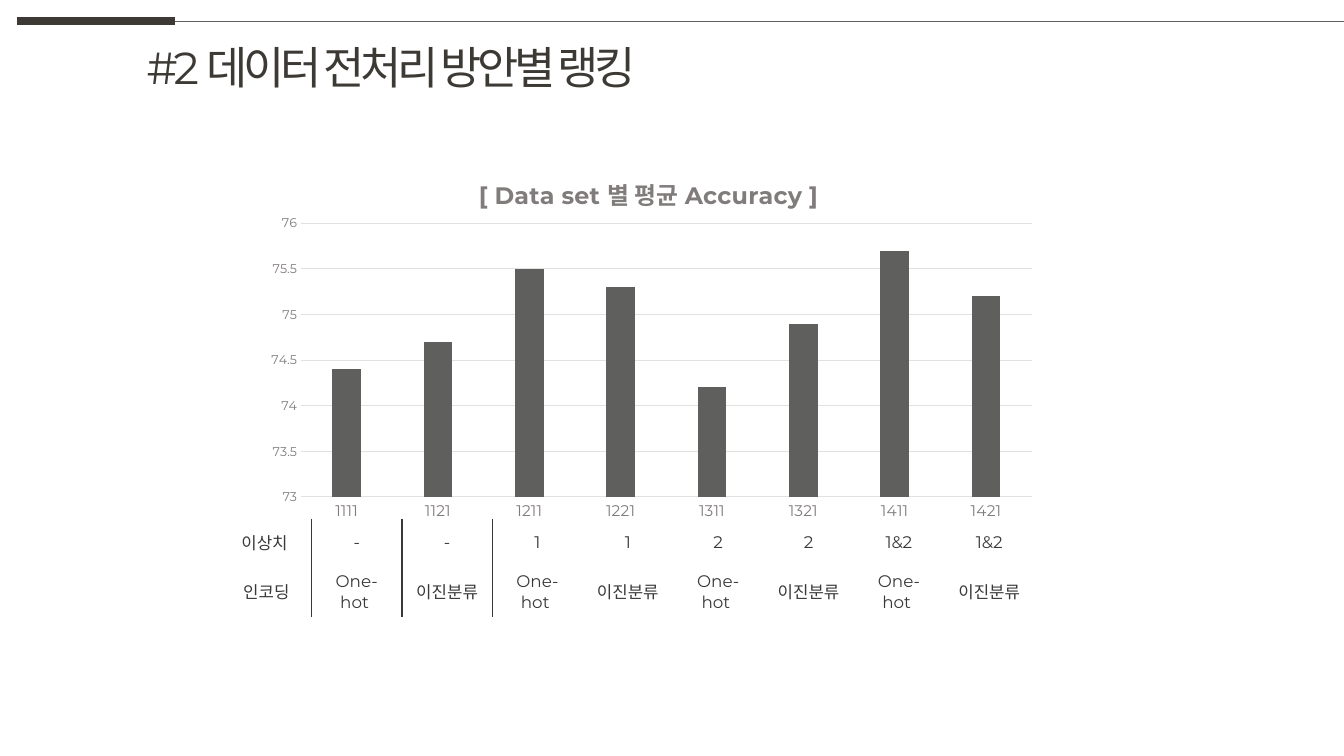
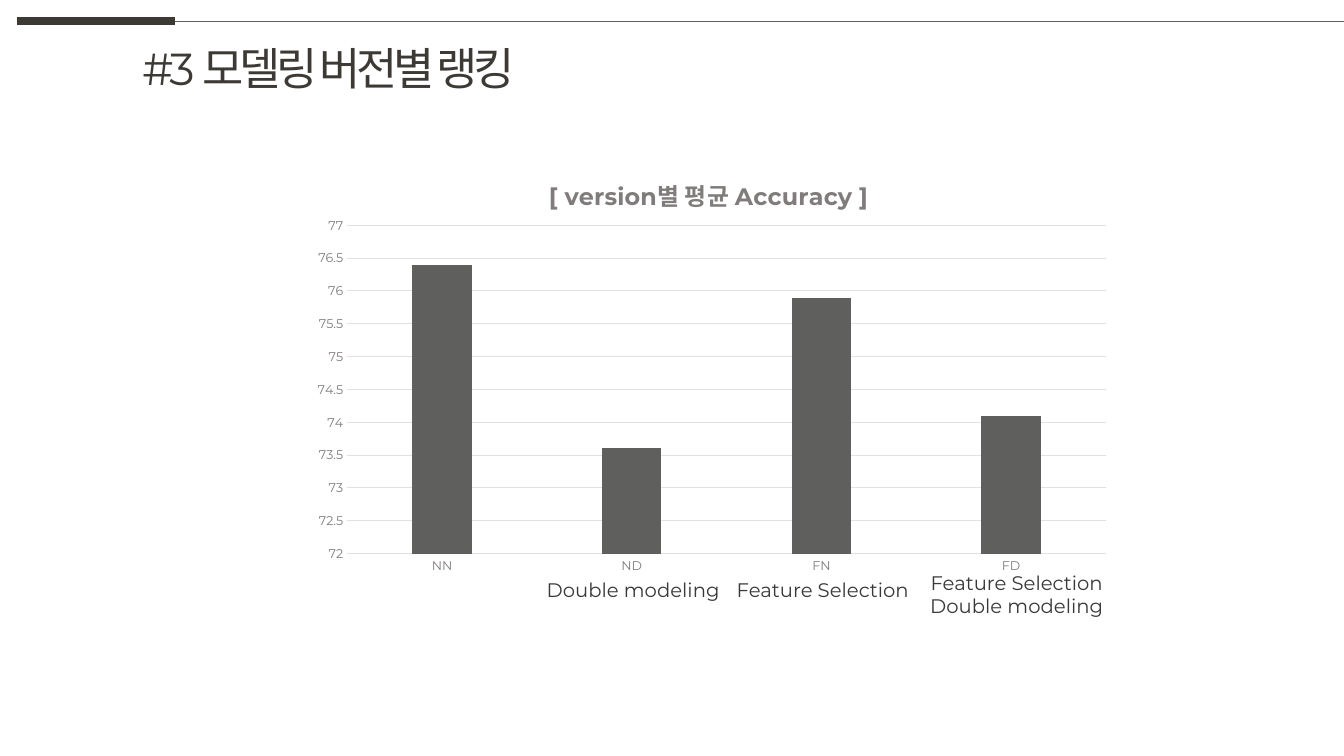
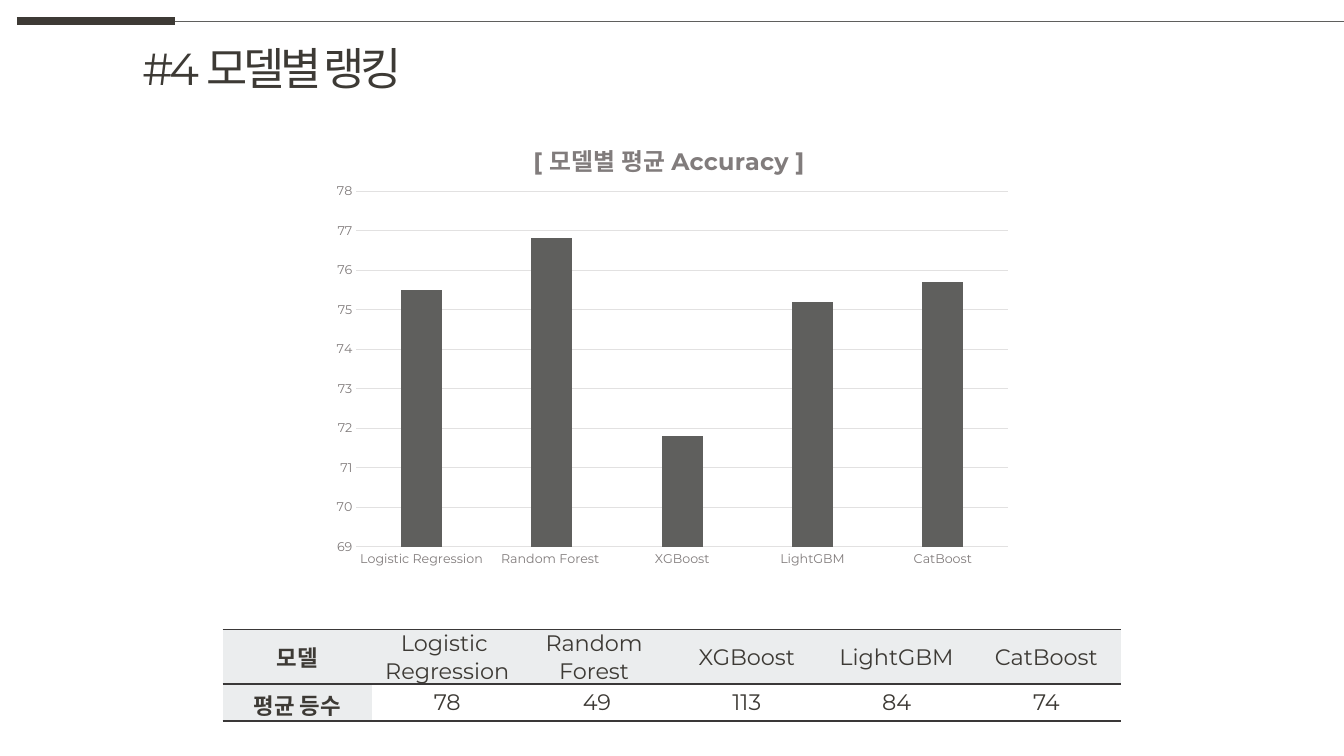
from dataclasses import dataclass
from typing import Any

from lxml.etree import SubElement
from pptx import Presentation
from pptx.chart.data import CategoryChartData
from pptx.dml.color import RGBColor
from pptx.enum.chart import XL_CHART_TYPE, XL_TICK_MARK
from pptx.enum.shapes import MSO_CONNECTOR
from pptx.enum.text import MSO_ANCHOR, MSO_AUTO_SIZE, PP_ALIGN
from pptx.oxml.ns import qn
from pptx.util import Pt


@dataclass(frozen=True)
class Theme:
    font: str = "Montserrat"
    title: RGBColor = RGBColor.from_string("3D3A35")
    text: RGBColor = RGBColor.from_string("3A3838")
    muted: RGBColor = RGBColor.from_string("817C7C")
    bar: RGBColor = RGBColor.from_string("5F5F5D")
    grid: RGBColor = RGBColor.from_string("E2E1E1")
    shade: RGBColor = RGBColor.from_string("EBEDEE")
    white: RGBColor = RGBColor.from_string("FFFFFF")
    title_size: float = 32
    chart_title_size: float = 17
    table_size: float = 16
    label_size: float = 14
    small_table_size: float = 12
    chart_size: float = 10
    axis_size: float = 9


THEME = Theme()
NO_TABLE_STYLE = "{2D5ABB26-0587-4C30-8999-92F81FD0307C}"


@dataclass(frozen=True)
class Box:
    left: float
    top: float
    width: float
    height: float

    def lengths(self) -> tuple[Pt, ...]:
        return tuple(Pt(value) for value in (self.left, self.top, self.width, self.height))


@dataclass(frozen=True)
class BarChart:
    title: str
    title_left: float
    title_top: float
    frame: Box
    plot: Box
    values: dict[str, float]
    minimum: float
    maximum: float
    step: float
    category_size: float = THEME.axis_size


@dataclass(frozen=True)
class Label:
    text: str
    box: Box


def apply(target: Any, values: dict[str, Any]) -> None:
    for name, value in values.items():
        setattr(target, name, value)


def style_font(font: Any, size: float, color: RGBColor, bold: bool = False) -> None:
    apply(font, {"name": THEME.font, "size": Pt(size), "bold": bold})
    font.color.rgb = color


def style_line(line: Any, color: RGBColor, width: float) -> None:
    line.color.rgb = color
    line.width = Pt(width)


def add_band(slide: Any, start: float, end: float, color: RGBColor, width: float) -> None:
    connector = slide.shapes.add_connector(
        MSO_CONNECTOR.STRAIGHT, Pt(start), Pt(15), Pt(end), Pt(15))
    style_line(connector.line, color, width)
    SubElement(connector.element.spPr, qn("a:effectLst"))


def add_slide(presentation: Any, title: str, box: Box) -> Any:
    slide = presentation.slides.add_slide(presentation.slide_layouts[5])
    add_band(slide, 12, 125, THEME.title, 6)
    add_band(slide, 125, 960, THEME.bar, 0.5)
    shape = slide.shapes.title
    apply(shape, dict(zip(("left", "top", "width", "height"), box.lengths())))
    apply(shape.text_frame, {
        "text": title, "word_wrap": False, "vertical_anchor": MSO_ANCHOR.MIDDLE,
        "auto_size": MSO_AUTO_SIZE.SHAPE_TO_FIT_TEXT})
    paragraph = shape.text_frame.paragraphs[0]
    paragraph.alignment = PP_ALIGN.LEFT
    run = paragraph.runs[0]
    style_font(run.font, THEME.title_size, THEME.title)
    run._r.get_or_add_rPr().set("spc", "-300")
    return slide


def set_layout(parent: Any, position: int, values: dict[str, Any]) -> None:
    for existing in parent.findall(qn("c:layout")):
        parent.remove(existing)
    layout = SubElement(parent, qn("c:layout"))
    manual = SubElement(layout, qn("c:manualLayout"))
    for name, value in values.items():
        SubElement(manual, qn(f"c:{name}")).set("val", str(value))
    parent.insert(position, layout)


def add_bar_chart(slide: Any, content: BarChart) -> None:
    data = CategoryChartData(number_format="General")
    data.categories = list(content.values)
    data.add_series("Series 1", list(content.values.values()))
    frame, plot_box = content.frame, content.plot
    chart = slide.shapes.add_chart(
        XL_CHART_TYPE.COLUMN_CLUSTERED, *frame.lengths(), data).chart
    style_font(chart.font, THEME.chart_size, THEME.text)
    apply(chart, {"has_legend": False, "has_title": True})
    chart.chart_title.text_frame.text = content.title
    title_run = chart.chart_title.text_frame.paragraphs[0].runs[0]
    style_font(title_run.font, THEME.chart_title_size, THEME.muted, True)

    plot = chart.plots[0]
    apply(plot, {"gap_width": 219, "overlap": -27, "vary_by_categories": False})
    fill = plot.series[0].format.fill
    fill.solid()
    fill.fore_color.rgb = THEME.bar

    value_axis, category_axis = chart.value_axis, chart.category_axis
    for axis, size in ((value_axis, THEME.axis_size), (category_axis, content.category_size)):
        apply(axis, {"major_tick_mark": XL_TICK_MARK.NONE,
                     "minor_tick_mark": XL_TICK_MARK.NONE})
        style_font(axis.tick_labels.font, size, THEME.muted)
    apply(value_axis, {"minimum_scale": content.minimum, "maximum_scale": content.maximum,
                       "major_unit": content.step, "has_major_gridlines": True})
    apply(value_axis.tick_labels, {"number_format": "General",
                                   "number_format_is_linked": False})
    value_axis.format.line.fill.background()
    style_line(value_axis.major_gridlines.format.line, THEME.grid, 0.75)
    style_line(category_axis.format.line, THEME.grid, 0.75)

    set_layout(chart.chart_title.element, 1, {
        "xMode": "edge", "yMode": "edge",
        "x": (content.title_left - frame.left) / frame.width,
        "y": (content.title_top - frame.top) / frame.height})
    set_layout(chart.element.find(f".//{qn('c:plotArea')}"), 0, {
        "layoutTarget": "inner", "xMode": "edge", "yMode": "edge",
        "x": (plot_box.left - frame.left) / frame.width,
        "y": (plot_box.top - frame.top) / frame.height,
        "w": plot_box.width / frame.width,
        "h": plot_box.height / frame.height})


def add_table(slide: Any, box: Box, rows: list[list[str]], heights: list[float]) -> Any:
    frame = slide.shapes.add_table(len(rows), len(rows[0]), *box.lengths())
    frame.element.find(f".//{qn('a:tableStyleId')}").text = NO_TABLE_STYLE
    table = frame.table
    apply(table, {"first_row": False, "horz_banding": False})
    for column in table.columns:
        column.width = Pt(box.width / len(rows[0]))
    for row, height in zip(table.rows, heights):
        row.height = Pt(height)
    return table


def fill_cell(cell: Any, text: str, size: float, color: RGBColor, bold: bool = False) -> None:
    cell.text = text
    cell.vertical_anchor = MSO_ANCHOR.MIDDLE
    for paragraph in cell.text_frame.paragraphs:
        paragraph.alignment = PP_ALIGN.CENTER
        for run in paragraph.runs:
            style_font(run.font, size, color, bold)


def add_borders(cell: Any, sides: str) -> None:
    properties = cell._tc.get_or_add_tcPr()
    for side in sides:
        line = SubElement(properties, qn(f"a:ln{side}"), w=str(Pt(1)))
        SubElement(SubElement(line, qn("a:solidFill")), qn("a:srgbClr"), val=str(THEME.text))


def add_dataset_table(slide: Any) -> None:
    rows = [["이상치 ", "-", "-", "1", "1", "2", "2", "1&2", "1&2"],
            ["인코딩", *["One-hot ", "이진분류"] * 4]]
    borders = {0: "R", 1: "LR", 2: "L"}
    table = add_table(slide, Box(158, 370.5, 581, 70), rows, [34, 36])
    for row_index, row in enumerate(rows):
        for column_index, text in enumerate(row):
            cell = table.cell(row_index, column_index)
            fill_cell(cell, text, THEME.small_table_size, THEME.text)
            add_borders(cell, borders.get(column_index, ""))
            cell.fill.background()


def add_ranking_table(slide: Any) -> None:
    rows = [["모델", "Logistic \nRegression", "Random \nForest ", "XGBoost", "LightGBM", "CatBoost"],
            ["평균 등수", "78", "49", "113", "84", "74"]]
    table = add_table(slide, Box(159, 449.5, 642, 65.5), rows, [39, 26])
    for row_index, row in enumerate(rows):
        for column_index, text in enumerate(row):
            cell = table.cell(row_index, column_index)
            heading = column_index == 0
            fill_cell(cell, text, THEME.table_size, THEME.title, heading)
            if row_index == 0 and not heading:
                apply(cell, {"margin_left": Pt(0.7), "margin_right": Pt(0.7),
                             "margin_top": Pt(0.7), "margin_bottom": Pt(0)})
            add_borders(cell, "TB")
            cell.fill.solid()
            cell.fill.fore_color.rgb = THEME.shade if heading or row_index == 0 else THEME.white


def add_label(slide: Any, label: Label) -> None:
    text_frame = slide.shapes.add_textbox(*label.box.lengths()).text_frame
    apply(text_frame, {"text": label.text, "word_wrap": True,
                       "auto_size": MSO_AUTO_SIZE.SHAPE_TO_FIT_TEXT})
    paragraph = text_frame.paragraphs[0]
    paragraph.alignment = PP_ALIGN.CENTER
    style_font(paragraph.runs[0].font, THEME.label_size, THEME.text)


DATASET_CHART = BarChart(
    "[ Data set 별 평균 Accuracy ]", 339, 121, Box(183, 106.5, 565, 271),
    Box(215, 159.5, 522, 195.5),
    {"1111": 74.4, "1121": 74.7, "1211": 75.5, "1221": 75.3,
     "1311": 74.2, "1321": 74.9, "1411": 75.7, "1421": 75.2},
    73, 76, 0.5, 11)
VERSION_CHART = BarChart(
    "[ version별 평균 Accuracy ]", 389, 121.5, Box(215, 106.5, 586, 309.5),
    Box(248, 161, 542, 234.5),
    {"NN": 76.4, "ND": 73.6, "FN": 75.9, "FD": 74.1}, 72, 77, 0.5)
MODEL_CHART = BarChart(
    "[ 모델별 평균 Accuracy ]", 378, 96.5, Box(230.5, 81.5, 499.5, 330),
    Box(254.5, 136.5, 465.5, 254),
    {"Logistic Regression": 75.5, "Random Forest ": 76.8, "XGBoost": 71.8,
     "LightGBM": 75.2, "CatBoost": 75.7}, 69, 78, 1)
VERSION_LABELS = [
    Label("Double modeling", Box(377, 409.5, 150.5, 24.5)),
    Label("Feature Selection", Box(512.5, 409.5, 150.5, 24.5)),
    Label("Feature Selection Double modeling", Box(651, 404, 150.5, 41)),
]


def main() -> None:
    presentation = Presentation()
    apply(presentation, {"slide_width": Pt(960), "slide_height": Pt(540)})

    dataset_slide = add_slide(presentation, "#2 데이터 전처리 방안별 랭킹", Box(97.5, 24.5, 396, 46))
    add_bar_chart(dataset_slide, DATASET_CHART)
    add_dataset_table(dataset_slide)

    version_slide = add_slide(presentation, "#3 모델링 버전별 랭킹", Box(94.5, 25, 302.5, 46))
    add_bar_chart(version_slide, VERSION_CHART)
    for label in VERSION_LABELS:
        add_label(version_slide, label)

    model_slide = add_slide(presentation, "#4 모델별 랭킹", Box(94.5, 25, 211.5, 46))
    add_bar_chart(model_slide, MODEL_CHART)
    add_ranking_table(model_slide)

    presentation.save("out.pptx")


if __name__ == "__main__":
    main()
